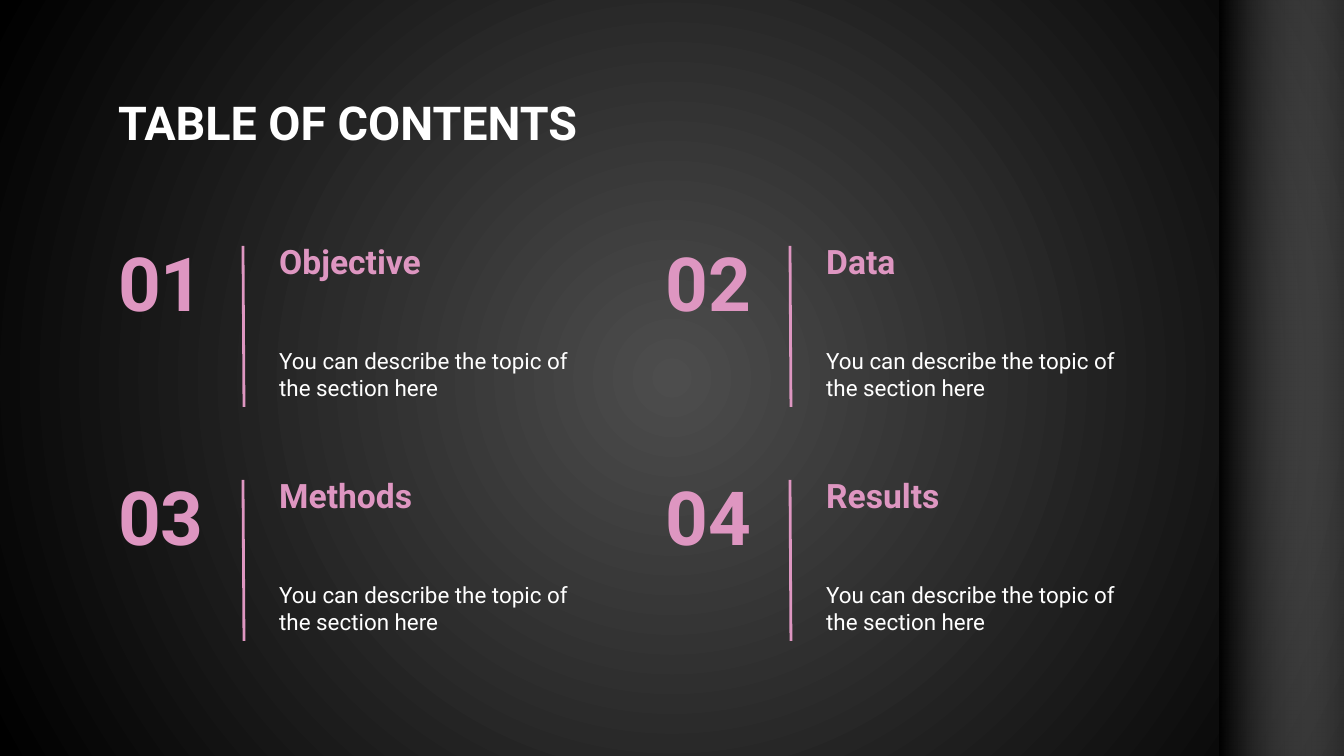
from lxml.etree import SubElement
from pptx import Presentation
from pptx.dml.color import RGBColor
from pptx.enum.shapes import MSO_CONNECTOR as Connector, MSO_SHAPE as Shape
from pptx.enum.text import MSO_ANCHOR as Anchor, PP_ALIGN as Align
from pptx.oxml.ns import qn
from pptx.util import Pt

PX = 914400 / 134.4
FONT = "Roboto"
COLORS = {"white": "FFFFFF", "pink": "DE96C1", "gray": "4D4D4D", "black": "000000"}
TOPICS = ["Objective", "Data", "Methods", "Results"]
DESCRIPTION = "You can describe the topic of the section here"


def px(*lengths):
    """Turn pixel lengths into a list of EMU."""
    return [round(length * PX) for length in lengths]


def color(name):
    """Look up a named colour."""
    return RGBColor.from_string(COLORS[name])


def add_text(slide, box, text, size, fill="white", bold=False,
             align=Align.LEFT, anchor=Anchor.TOP, space_after=0):
    """Place one paragraph of formatted text in a pixel box."""
    frame = slide.shapes.add_textbox(*px(*box)).text_frame
    frame.word_wrap = True
    frame.vertical_anchor = anchor
    frame.margin_left = frame.margin_right = Pt(7.2)
    frame.margin_top = frame.margin_bottom = Pt(7.2)
    paragraph = frame.paragraphs[0]
    paragraph.alignment = align
    paragraph.space_after = Pt(space_after)
    run = paragraph.add_run()
    run.text = text
    run.font.name, run.font.size, run.font.bold = FONT, Pt(size), bold
    run.font.color.rgb = color(fill)


def set_gradient(parent, stops, radial=False):
    """Swap the solid fill of a parent element for a gradient."""
    solid = parent.find(qn("a:solidFill"))
    gradient = parent.makeelement(qn("a:gradFill"), {"rotWithShape": "1"})
    parent.replace(solid, gradient)
    stop_list = SubElement(gradient, qn("a:gsLst"))
    for position, name, opacity in stops:
        stop = SubElement(stop_list, qn("a:gs"), pos=str(position * 1000))
        tint = SubElement(stop, qn("a:srgbClr"), val=COLORS[name])
        if opacity < 100:
            SubElement(tint, qn("a:alpha"), val=str(opacity * 1000))
    if radial:
        circle = SubElement(gradient, qn("a:path"), path="circle")
        SubElement(circle, qn("a:fillToRect"), dict.fromkeys("ltrb", "50000"))
    else:
        SubElement(gradient, qn("a:lin"), ang="0", scaled="0")


def add_backdrop(slide, panel_box):
    """Paint the radial background and the shaded panel at the right edge."""
    slide.background.fill.solid()
    background = slide.element.xpath("p:cSld/p:bg/p:bgPr")[0]
    set_gradient(background, [(0, "gray", 100), (100, "black", 100)], radial=True)
    panel = slide.shapes.add_shape(Shape.RECTANGLE, *px(*panel_box))
    panel.shadow.inherit = False
    panel.line.fill.background()
    panel.fill.solid()
    set_gradient(panel.element.spPr, [(0, "black", 85), (100, "white", 0)])


def add_topic(slide, box, number, topic):
    """Place a number, divider, heading and description in one grid cell."""
    left, top, width, height = box
    text_left = left + 171
    add_text(slide, (text_left, top + 5, 304, 116), topic, 18,
             fill="pink", bold=True, space_after=16)
    add_text(slide, (left, top, 132, 142), f"{number:02}", 40,
             fill="pink", bold=True, align=Align.CENTER)
    add_text(slide, (text_left, top + 111, width - 171, 73), DESCRIPTION, 12)
    divider = slide.shapes.add_connector(
        Connector.STRAIGHT, *px(left + 148, top + 23, left + 149, top + height))
    divider.line.color.rgb = color("pink")
    divider.line.width = Pt(1.5)
    SubElement(divider.element.spPr, qn("a:effectLst"))


def add_contents(slide, box):
    """Lay the topics out in two columns and two rows."""
    left, top, column_pitch, row_pitch = box
    for index, topic in enumerate(TOPICS):
        row, column = divmod(index, 2)
        cell = (left + column * column_pitch, top + row * row_pitch, 498, 184)
        add_topic(slide, cell, index + 1, topic)


def main():
    """Build and save the contents slide."""
    deck = Presentation()
    deck.slide_width, deck.slide_height = px(1344, 756)
    slide = deck.slides.add_slide(deck.slide_layouts[6])
    add_backdrop(slide, (1220, -7, 171, 770))
    add_text(slide, (105, 79, 1136, 85), "TABLE OF CONTENTS", 25,
             bold=True, anchor=Anchor.MIDDLE)
    add_contents(slide, (95, 223, 547, 234))
    deck.save("out.pptx")


if __name__ == "__main__":
    main()
